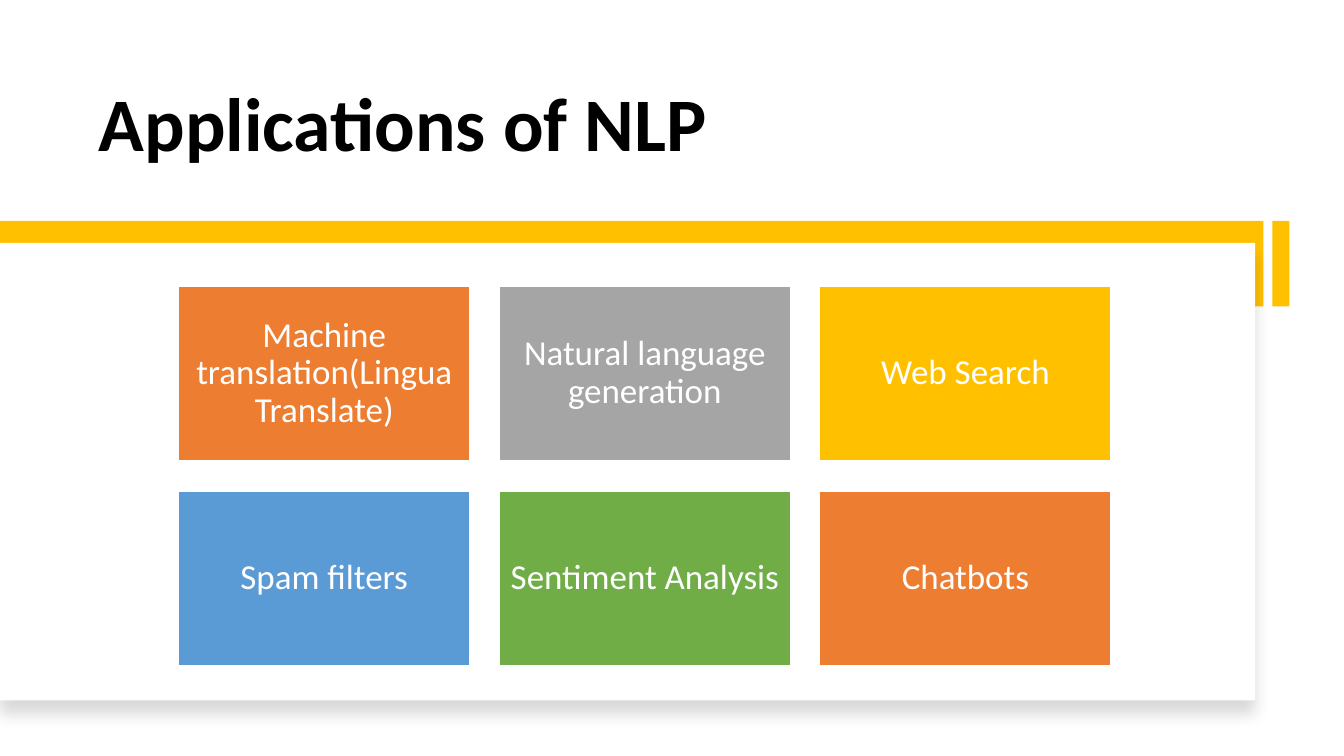
from lxml import etree
from pptx import Presentation
from pptx.dml.color import RGBColor
from pptx.enum.shapes import MSO_SHAPE
from pptx.enum.text import MSO_ANCHOR, MSO_AUTO_SIZE, PP_ALIGN
from pptx.oxml.ns import qn
from pptx.util import Pt

RECT = MSO_SHAPE.RECTANGLE
MIDDLE, BOTTOM = MSO_ANCHOR.MIDDLE, MSO_ANCHOR.BOTTOM
CENTER, LEFT = PP_ALIGN.CENTER, PP_ALIGN.LEFT
FIXED = MSO_AUTO_SIZE.NONE
PX = 9144  # 100 px to the inch

THEME = {
    "font": "Calibri", "title": 54, "tile": 25,
    "black": "000000", "white": "FFFFFF", "gold": "FFC000",
    "orange": "ED7D31", "gray": "A5A5A5", "blue": "5B9BD5", "green": "70AD47",
}


def add_box(left, top, width, height, color):
    box = slide.shapes.add_shape(RECT, left * PX, top * PX, width * PX, height * PX)
    box.shadow.inherit = False
    box.fill.solid()
    box.fill.fore_color.rgb = RGBColor.from_string(THEME[color])
    box.line.fill.background()
    return box


def set_text(shape, text, size, color, align, anchor):
    frame = shape.text_frame
    frame.text = text
    frame.word_wrap = True
    frame.auto_size = FIXED
    frame.vertical_anchor = anchor
    para = frame.paragraphs[0]
    para.alignment = align
    para.line_spacing = 0.9
    para.font.name = THEME["font"]
    para.font.size = Pt(THEME[size])
    para.font.color.rgb = RGBColor.from_string(THEME[color])
    return frame


deck = Presentation()
deck.slide_width, deck.slide_height = 1333 * PX, 750 * PX
slide = deck.slides.add_slide(deck.slide_layouts[5])

# Title
title = slide.shapes.title
title.left, title.top, title.width, title.height = 88 * PX, 42 * PX, 1010 * PX, 130 * PX
frame = set_text(title, "Applications of NLP", "title", "black", LEFT, BOTTOM)
frame.paragraphs[0].font.bold = True

# Gold bars behind a white panel
add_box(1262, 219, 17, 85, "gold")
add_box(0, 219, 1253, 85, "gold")
panel = add_box(0, 241, 1245, 454, "white")

# Soft shadow below the panel
effects = panel.element.spPr.find(qn("a:effectLst"))
shade = etree.SubElement(effects, qn("a:outerShdw"), blurRad=str(Pt(11)),
                         dist=str(Pt(10)), dir="5400000", algn="t", rotWithShape="0")
tint = etree.SubElement(shade, qn("a:srgbClr"), val=THEME["black"])
etree.SubElement(tint, qn("a:alpha"), val="15000")

# Tiles, three to a row
TILES = [
    ("Machine translation(Lingua Translate)", "orange"),
    ("Natural language generation", "gray"),
    ("Web Search", "gold"),
    ("Spam filters", "blue"),
    ("Sentiment Analysis", "green"),
    ("Chatbots", "orange"),
]
WIDE, HIGH = 289, 173
STEP_X, STEP_Y = 318, 203
INSET = 10 * PX

for index, (label, color) in enumerate(TILES):
    row, col = divmod(index, 3)
    tile = add_box(177 + col * STEP_X, 284 + row * STEP_Y, WIDE, HIGH, color)
    tile.line.color.rgb = RGBColor.from_string(THEME["white"])
    tile.line.width = Pt(1)
    frame = set_text(tile, label, "tile", "white", CENTER, MIDDLE)
    frame.margin_left = frame.margin_right = INSET
    frame.margin_top = frame.margin_bottom = INSET

deck.save("out.pptx")
